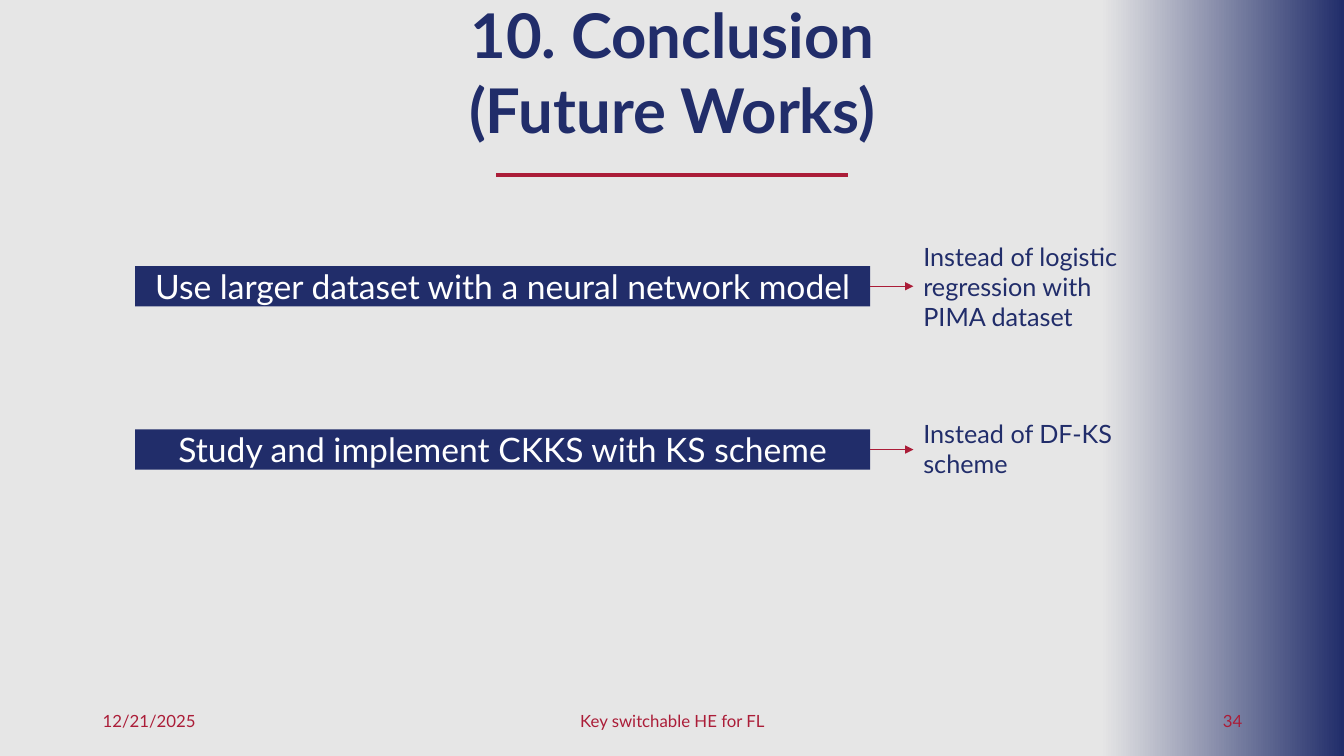
import pptx
import pptx.util
import pptx.dml.color
import pptx.enum.shapes
import pptx.enum.text
import lxml.etree
import pptx.oxml.ns

PX = 9144
ALIGN = pptx.enum.text.PP_ALIGN
ANCHOR = pptx.enum.text.MSO_ANCHOR
RECTANGLE = pptx.enum.shapes.MSO_SHAPE.RECTANGLE
STRAIGHT = pptx.enum.shapes.MSO_CONNECTOR.STRAIGHT
color = pptx.dml.color.RGBColor.from_string

theme = {
    "font": "Lato",
    "navy": color("212D6A"),
    "red": color("AB1D38"),
    "grey": color("E6E6E6"),
    "white": color("FFFFFF"),
    "title": 44,
    "topic": 24,
    "note": 18,
    "footer": 12,
}

presentation = pptx.Presentation()
presentation.slide_width = 1333 * PX
presentation.slide_height = 750 * PX
slide = presentation.slides.add_slide(presentation.slide_layouts[6])


def write(shape, lines, size, ink, align=ALIGN.LEFT, anchor=ANCHOR.MIDDLE, bold=False):
    frame = shape.text_frame
    frame.word_wrap = True
    frame.vertical_anchor = anchor
    for index, line in enumerate(lines):
        paragraph = frame.add_paragraph() if index else frame.paragraphs[0]
        paragraph.alignment = align
        run = paragraph.add_run()
        run.text = line
        run.font.name = theme["font"]
        run.font.size = pptx.util.Pt(theme[size])
        run.font.bold = bold
        run.font.color.rgb = theme[ink]
    return frame


def draw_line(x1, x2, y, width):
    connector = slide.shapes.add_connector(STRAIGHT, x1 * PX, y * PX, x2 * PX, y * PX)
    connector.line.color.rgb = theme["red"]
    connector.line.width = pptx.util.Pt(width)
    lxml.etree.SubElement(connector._element.spPr, pptx.oxml.ns.qn("a:effectLst"))
    return connector


backdrop = slide.shapes.add_shape(RECTANGLE, 0, 0, 1333 * PX, 750 * PX)
backdrop.fill.solid()
backdrop.fill.fore_color.rgb = theme["grey"]

side_band = slide.shapes.add_shape(RECTANGLE, 1092 * PX, 0, 241 * PX, 750 * PX)
side_band.fill.gradient()
side_band.fill.gradient_angle = 0
for stop, name, position in zip(side_band.fill.gradient_stops, ("grey", "navy"), (0, 1)):
    stop.color.rgb = theme[name]
    stop.position = position

for panel in (backdrop, side_band):
    panel.shadow.inherit = False
    panel.line.fill.background()

footers = [
    (92, 300, "12/21/2025", ALIGN.LEFT),
    (442, 450, "Key switchable HE for FL", ALIGN.CENTER),
    (942, 300, "34", ALIGN.RIGHT),
]
for left, width, text, align in footers:
    footer = slide.shapes.add_textbox(left * PX, 695 * PX, width * PX, 40 * PX)
    write(footer, [text], "footer", "red", align)

title = slide.shapes.add_textbox(343 * PX, 0, 648 * PX, 151 * PX)
title_frame = write(
    title, ["10. Conclusion", "(Future Works)"], "title", "navy", ALIGN.CENTER, bold=True
)
for paragraph in title_frame.paragraphs:
    paragraph.line_spacing = 0.9
    paragraph.space_after = pptx.util.Pt(6)
draw_line(492, 841, 174, 3)

future_works = [
    (284, "Use larger dataset with a neural network model",
     234, 101, "Instead of logistic regression with PIMA dataset"),
    (446, "Study and implement CKKS with KS scheme",
     410, 71, "Instead of DF-KS scheme"),
]
for middle, topic, note_top, note_height, note in future_works:
    bar = slide.shapes.add_shape(RECTANGLE, 134 * PX, (middle - 20) * PX, 729 * PX, 40 * PX)
    bar.shadow.inherit = False
    bar.fill.solid()
    bar.fill.fore_color.rgb = theme["navy"]
    bar.line.fill.background()
    write(bar, [topic], "topic", "white", ALIGN.CENTER)

    arrow = draw_line(863, 906, middle, 1)
    outline = arrow.line._get_or_add_ln()
    lxml.etree.SubElement(outline, pptx.oxml.ns.qn("a:tailEnd"), type="triangle")

    note_box = slide.shapes.add_textbox(906 * PX, note_top * PX, 213 * PX, note_height * PX)
    note_frame = write(note_box, [note], "note", "navy", anchor=ANCHOR.TOP)
    note_frame.auto_size = pptx.enum.text.MSO_AUTO_SIZE.SHAPE_TO_FIT_TEXT

presentation.save("out.pptx")
